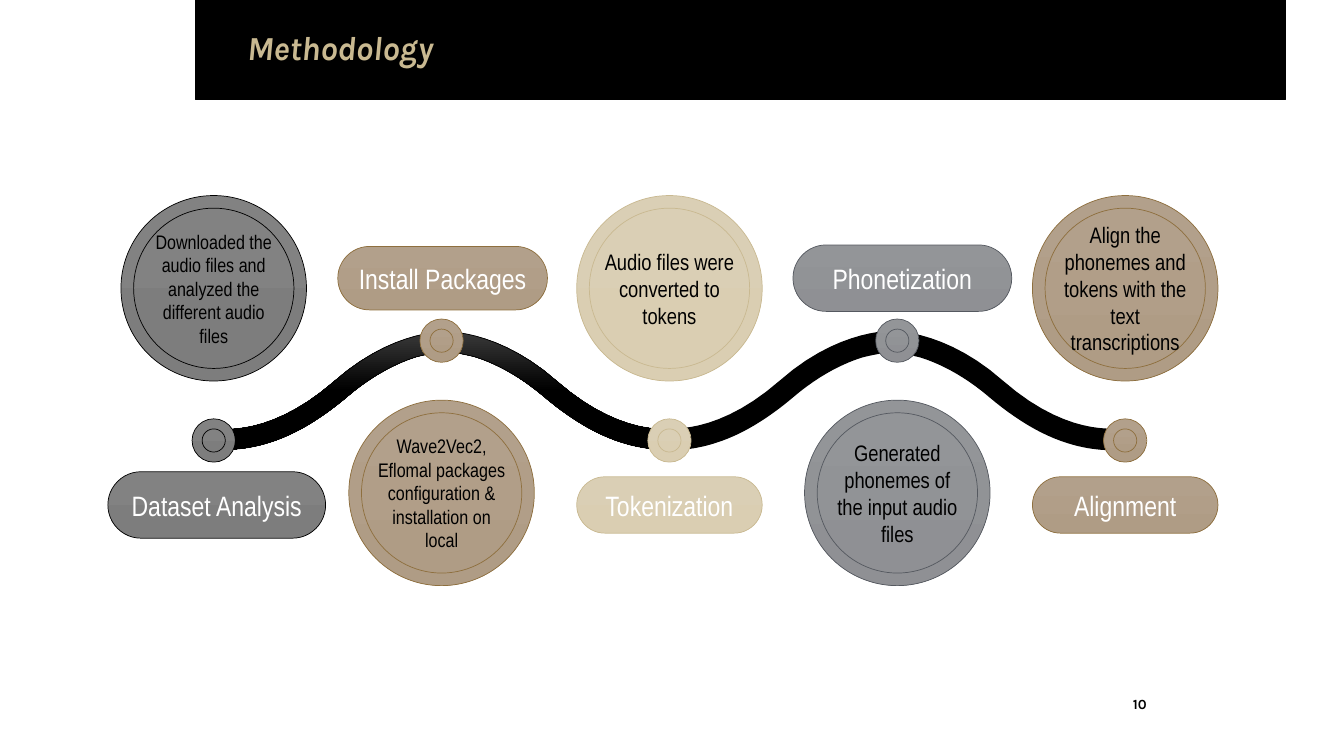
from pptx import Presentation
from pptx.dml.color import RGBColor
from pptx.enum import shapes, text
from pptx.util import Inches, Pt

BLACK = RGBColor(0x00, 0x00, 0x00)
WHITE = RGBColor(0xFF, 0xFF, 0xFF)
CHARCOAL = RGBColor(0x39, 0x39, 0x39)
GOLD = RGBColor(0xC9, 0xB9, 0x91)

# Palettes: gradient top, gradient bottom, outline
GREY = (RGBColor(0x82, 0x82, 0x82), RGBColor(0x7D, 0x7D, 0x7D), BLACK)
BROWN = (RGBColor(0xB2, 0xA0, 0x8B), RGBColor(0xAF, 0x9C, 0x85), RGBColor(0x8E, 0x6F, 0x3E))
SAND = (RGBColor(0xDA, 0xCF, 0xB5), RGBColor(0xDA, 0xCE, 0xB2), GOLD)
STEEL = (RGBColor(0x93, 0x95, 0x98), RGBColor(0x8F, 0x90, 0x94), RGBColor(0x55, 0x59, 0x60))

TITLE = "Methodology"
PAGE_NUMBER = "10"

# Label, description, description size, palette, label width, height, shift right
STEPS = [
    ("Dataset Analysis", "Downloaded the audio files and analyzed the different audio files",
     14, GREY, 2.16, 0.66, 0.03),
    ("Install Packages", "Wave2Vec2, Eflomal packages configuration & installation on local",
     14, BROWN, 2.08, 0.63, 0.01),
    ("Tokenization", "Audio files were converted to tokens", 16, SAND, 1.84, 0.56, 0),
    ("Phonetization", "Generated phonemes of the input audio files",
     16, STEEL, 2.17, 0.66, 0.05),
    ("Alignment", "Align the phonemes and tokens with the text transcriptions",
     16, BROWN, 1.84, 0.56, 0),
]
FIRST_STEP_X, STEP_GAP = 2.12, 2.26
# Centre heights of node, bubble and label, for low and high steps
LOW_STEP = (4.37, 2.86, 5.01)
HIGH_STEP = (3.38, 4.89, 2.76)

# Falling half wave: Bezier curves, x measured from the crest
WAVE_START = (0, 3.29)
WAVE_CURVES = [
    ((-0.06, 3.29), (-0.1, 3.34), (-0.1, 3.39)),
    ((-0.1, 3.45), (-0.06, 3.49), (0, 3.49)),
    ((0.03, 3.49), (0.13, 3.5), (0.29, 3.54)),
    ((0.45, 3.59), (0.7, 3.7), (0.97, 3.93)),
    ((1.23, 4.15), (1.49, 4.31), (1.75, 4.39)),
    ((1.97, 4.46), (2.14, 4.46), (2.21, 4.46)),
    ((2.26, 4.46), (2.31, 4.41), (2.31, 4.36)),
    ((2.31, 4.3), (2.26, 4.26), (2.21, 4.26)),
    ((2.07, 4.26), (1.65, 4.26), (1.1, 3.78)),
    ((0.58, 3.32), (0.1, 3.29), WAVE_START),
]
CURVE_PIECES = 12
# Crest x, direction (1 falls to the right, -1 to the left), shaded
WAVES = [(8.84, 1, False), (8.84, -1, False), (4.42, 1, True), (4.42, -1, True)]


def paint_gradient(shape, top, bottom, end=1.0):
    shape.fill.gradient()
    shape.fill.gradient_angle = 270
    for stop, color, position in zip(shape.fill.gradient_stops, (top, bottom), (0, end)):
        stop.color.rgb = color
        stop.position = position


def outline(shape, color, width=0.5):
    shape.line.color.rgb = color
    shape.line.width = Pt(width)
    shape.shadow.inherit = False


def write(shape, words, size, color, font="Arial Narrow", bold=False, margin=0.0,
          alignment=text.PP_ALIGN.CENTER):
    frame = shape.text_frame
    frame.word_wrap = True
    frame.auto_size = text.MSO_AUTO_SIZE.NONE
    frame.vertical_anchor = text.MSO_ANCHOR.MIDDLE
    frame.margin_left = frame.margin_right = Inches(margin)
    frame.margin_top = frame.margin_bottom = Inches(margin)
    frame.text = words
    paragraph = frame.paragraphs[0]
    paragraph.alignment = alignment
    paragraph.font.name = font
    paragraph.font.size = Pt(size)
    paragraph.font.bold = bold
    paragraph.font.color.rgb = color
    return paragraph


def centred_box(x, y, width, height):
    return [Inches(value) for value in (x - width / 2, y - height / 2, width, height)]


def add_step_shape(slide, preset, x, y, width, height, palette):
    shape = slide.shapes.add_shape(preset, *centred_box(x, y, width, height))
    top, bottom, line = palette
    paint_gradient(shape, top, bottom)
    outline(shape, line)
    return shape


def wave_points():
    points, start = [], WAVE_START
    for first, second, end in WAVE_CURVES:
        for piece in range(1, CURVE_PIECES + 1):
            t = piece / CURVE_PIECES
            weights = ((1 - t) ** 3, 3 * t * (1 - t) ** 2, 3 * t * t * (1 - t), t ** 3)
            corners = (start, first, second, end)
            points.append(tuple(sum(w * corner[axis] for w, corner in zip(weights, corners))
                                for axis in (0, 1)))
        start = end
    return points


def add_wave(slide, crest, direction, shaded):
    points = [(Inches(crest + direction * x), Inches(y)) for x, y in wave_points()]
    builder = slide.shapes.build_freeform(*points[-1])
    builder.add_line_segments(points[:-1], close=True)
    wave = builder.convert_to_shape()
    if shaded:
        paint_gradient(wave, CHARCOAL, BLACK, 0.5)
    else:
        wave.fill.solid()
        wave.fill.fore_color.rgb = BLACK
    outline(wave, BLACK, 0.5 if shaded else 1)


def add_step(slide, index, step):
    label, description, size, palette, width, height, shift = step
    x = FIRST_STEP_X + index * STEP_GAP
    node_y, bubble_y, label_y = HIGH_STEP if index % 2 else LOW_STEP

    pill = add_step_shape(slide, shapes.MSO_SHAPE.ROUNDED_RECTANGLE,
                          x + shift, label_y, width, height, palette)
    pill.adjustments[0] = 0.5
    write(pill, label, 20, WHITE)

    for y, diameter in ((node_y, 0.43), (node_y, 0.23), (bubble_y, 1.84), (bubble_y, 1.59)):
        add_step_shape(slide, shapes.MSO_SHAPE.OVAL, x, y, diameter, diameter, palette)
    caption = slide.shapes.add_textbox(*centred_box(x, bubble_y, 1.59, 1.59))
    write(caption, description, size, BLACK, margin=0.13)


def main():
    presentation = Presentation()
    presentation.slide_width, presentation.slide_height = Inches(13.33), Inches(7.5)
    slide = presentation.slides.add_slide(presentation.slide_layouts[5])

    # Title on its black band
    title = slide.shapes.title
    band = slide.shapes.add_shape(shapes.MSO_SHAPE.RECTANGLE, Inches(1.94), 0,
                                  Inches(10.81), Inches(0.99))
    band.fill.solid()
    band.fill.fore_color.rgb = BLACK
    outline(band, BLACK, 1)
    title._element.addprevious(band._element)
    title.left, title.top = Inches(2.32), Inches(0.31)
    title.width, title.height = Inches(8.74), Inches(0.36)
    heading = write(title, TITLE, 24, GOLD, "Karla", True, 0.13, text.PP_ALIGN.LEFT)
    heading.font.italic = True
    heading.line_spacing = 0.9

    # Winding road, then the steps along it
    for wave in WAVES:
        add_wave(slide, *wave)
    for index, step in enumerate(STEPS):
        add_step(slide, index, step)

    # Page number
    badge = slide.shapes.add_shape(shapes.MSO_SHAPE.OVAL, Inches(11.04), Inches(6.78),
                                   Inches(0.53), Inches(0.4))
    badge.fill.background()
    badge.line.fill.background()
    badge.shadow.inherit = False
    write(badge, PAGE_NUMBER, 10, BLACK, "Karla", True, 0.02)

    presentation.save("out.pptx")


if __name__ == "__main__":
    main()
